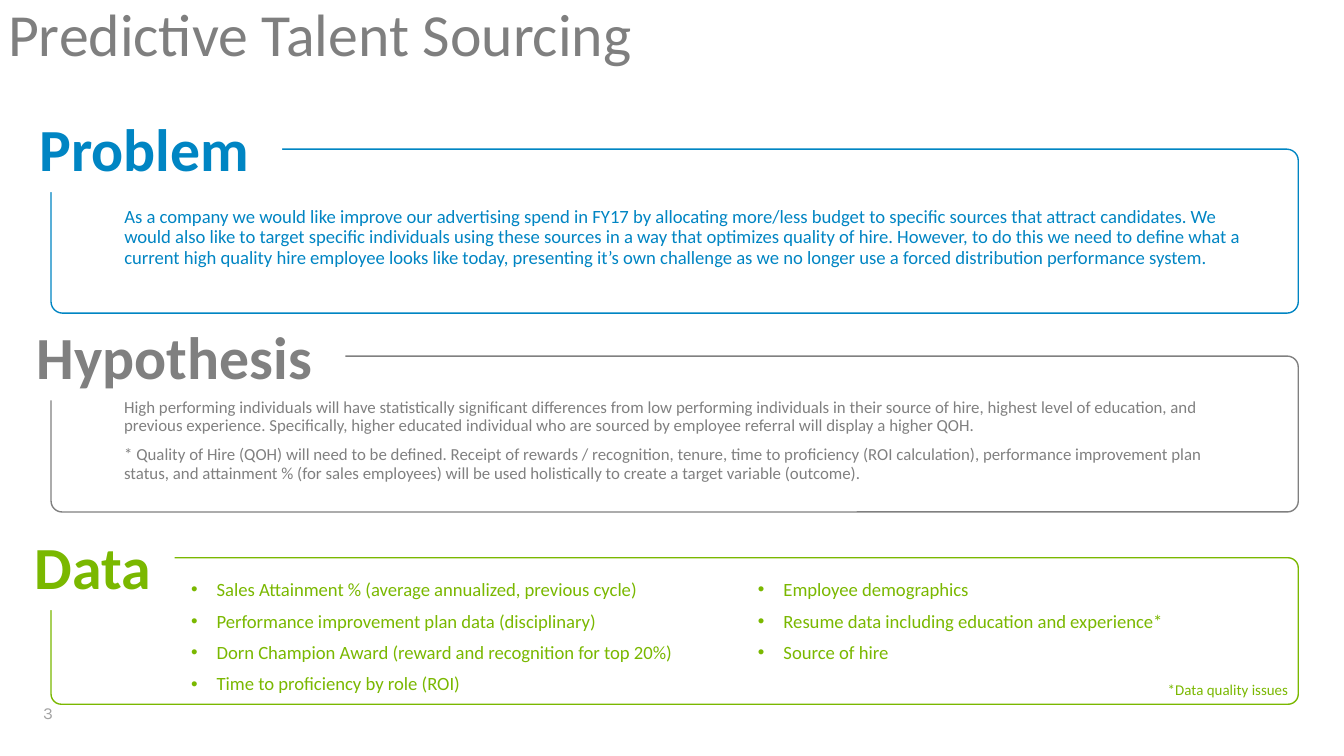
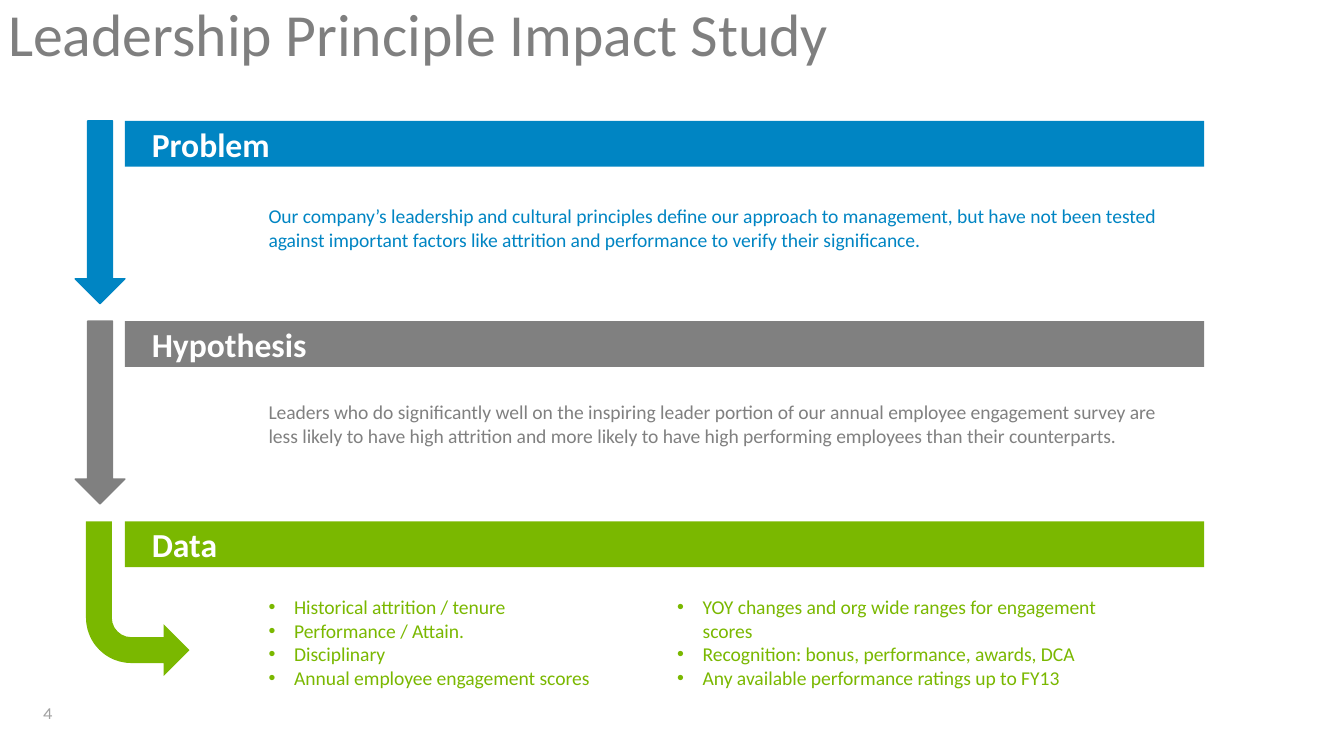
"""Build two slides that state the problem, hypothesis and data of a study."""
import dataclasses

import lxml.etree
import pptx
import pptx.dml.color
import pptx.enum.shapes
import pptx.enum.text
import pptx.oxml.ns
import pptx.util

SHAPES = pptx.enum.shapes.MSO_SHAPE
ALIGN = pptx.enum.text.PP_ALIGN
ANCHOR = pptx.enum.text.MSO_ANCHOR
AUTO_SIZE = pptx.enum.text.MSO_AUTO_SIZE


@dataclasses.dataclass(frozen=True)
class Theme:
    font: str = "Calibri"
    number_font: str = "Karla"
    blue: str = "0085C3"
    gray: str = "808080"
    green: str = "7AB800"
    title: str = "7F7F7F"
    number: str = "A2A2A2"
    white: str = "FFFFFF"
    title_size: float = 32
    band_size: float = 18
    text_size: float = 10.5
    frame_size: float = 10
    small_size: float = 9
    note_size: float = 8
    line_width: float = 0.75


theme = Theme()
presentation = pptx.Presentation()
presentation.slide_width = pptx.util.Inches(10)
presentation.slide_height = presentation.slide_width * 9 // 16
cell = presentation.slide_width / 100


def add_shape(slide, kind, area, fill=None, line=None):
    """Place a preset shape, or a text box if kind is None, on the 100-column grid."""
    lengths = [round(value * cell) for value in area]
    if kind is None:
        return slide.shapes.add_textbox(*lengths)
    shape = slide.shapes.add_shape(kind, *lengths)
    shape.shadow.inherit = False
    if fill:
        shape.fill.solid()
        shape.fill.fore_color.rgb = pptx.dml.color.RGBColor.from_string(fill)
    else:
        shape.fill.background()
    if line:
        shape.line.color.rgb = pptx.dml.color.RGBColor.from_string(line)
        shape.line.width = pptx.util.Pt(theme.line_width)
    else:
        shape.line.fill.background()
    return shape


def write(shape, texts, size, color, font=theme.font, bold=False, align=ALIGN.LEFT,
          anchor=ANCHOR.TOP, insets=(1, 0.5, 1, 0.5), spacing=1, gap=0,
          indent=0, hanging=0, grow=False, wrap=True):
    """Fill a shape with paragraphs; a hanging indent gives them bullets."""
    frame = shape.text_frame
    frame.word_wrap = wrap
    frame.vertical_anchor = anchor
    frame.auto_size = AUTO_SIZE.SHAPE_TO_FIT_TEXT if grow else AUTO_SIZE.NONE
    (frame.margin_left, frame.margin_top,
     frame.margin_right, frame.margin_bottom) = [round(inset * cell) for inset in insets]
    for index, text in enumerate(texts):
        paragraph = frame.add_paragraph() if index else frame.paragraphs[0]
        paragraph.text = text
        paragraph.alignment = align
        paragraph.line_spacing = spacing
        paragraph.space_before = pptx.util.Pt(gap if index else 0)
        properties = paragraph._p.get_or_add_pPr()
        properties.set("marL", str(round(indent * cell)))
        properties.set("indent", str(round(-hanging * cell)))
        if hanging:
            for tag, name, value in (("a:buFont", "typeface", "Arial"), ("a:buChar", "char", "•")):
                bullet = lxml.etree.SubElement(properties, pptx.oxml.ns.qn(tag))
                bullet.set(name, value)
        paragraph.font.name = font
        paragraph.font.size = pptx.util.Pt(size)
        paragraph.font.bold = bold
        paragraph.font.color.rgb = pptx.dml.color.RGBColor.from_string(color)


slides = []
for number, title, title_width in (
    ("3", "Predictive Talent Sourcing", 58.5),
    ("4", "Leadership Principle Impact Study", 63.1),
):
    slide = presentation.slides.add_slide(presentation.slide_layouts[6])
    write(add_shape(slide, None, (3.2, 52.6, 2.9, 1)), [number], theme.small_size, theme.number,
          font=theme.number_font, anchor=ANCHOR.MIDDLE, insets=(0, 0, 0, 0), spacing=0.9)
    write(add_shape(slide, None, (0.6, 0.4, title_width, 7.3)), [title], theme.title_size,
          theme.title, insets=(0, 0, 0, 0), spacing=0.9)
    slides.append(slide)
sourcing, leadership = slides

problem = [
    "As a company we would like improve our advertising spend in FY17 by allocating more/less "
    "budget to specific sources that attract candidates. We would also like to target specific "
    "individuals using these sources in a way that optimizes quality of hire. However, to do this "
    "we need to define what a current high quality hire employee looks like today, presenting "
    "it’s own challenge as we no longer use a forced distribution performance system.",
]
hypothesis = [
    "High performing individuals will have statistically significant differences from low "
    "performing individuals in their source of hire, highest level of education, and previous "
    "experience. Specifically, higher educated individual who are sourced by employee referral "
    "will display a higher QOH.",
    "* Quality of Hire (QOH) will need to be defined. Receipt of rewards / recognition, tenure, "
    "time to proficiency (ROI calculation), performance improvement plan status, and attainment % "
    "(for sales employees) will be used holistically to create a target variable (outcome).",
]
data = [
    "Sales Attainment % (average annualized, previous cycle)",
    "Performance improvement plan data (disciplinary)",
    "Dorn Champion Award (reward and recognition for top 20%)",
    "Time to proficiency by role (ROI)",
    "Employee demographics",
    "Resume data including education and experience*",
    "Source of hire",
]
sections = (
    ("Problem", theme.blue, problem, theme.frame_size, (11.1, 12.2), (0.5, 8.4, 20.5), 1.2, 0, 1),
    ("Hypothesis", theme.gray, hypothesis, theme.small_size, (26.5, 11.6), (0.3, 23.9, 25.4), 1.2, 0, 1),
    ("Data", theme.green, data, theme.frame_size, (41.5, 10.9), (0.8, 39.5, 12.2), 8.1, 1.9, 2),
)
for heading, color, texts, size, (top, height), heading_area, indent, hanging, columns in sections:
    frame = add_shape(sourcing, SHAPES.ROUNDED_RECTANGLE, (3.8, top, 92.8, height), line=color)
    frame.adjustments[0] = 0.07
    write(frame, texts, size, color, anchor=ANCHOR.MIDDLE, insets=(4, 1, 4, 0),
          spacing=0.9, gap=6, indent=indent, hanging=hanging)
    frame.text_frame._txBody.bodyPr.set("numCol", str(columns))
    label = add_shape(sourcing, SHAPES.RECTANGLE, (*heading_area, 5.9), fill=theme.white)
    write(label, [heading], theme.title_size, color, bold=True, align=ALIGN.CENTER,
          spacing=0.9, grow=True)
write(add_shape(sourcing, None, (85.9, 50.3, 11.1, 2.2)), ["*Data quality issues"],
      theme.note_size, theme.green, spacing=0.9, grow=True, wrap=False)

band_top, band_pitch = 9, 14.9
bands = (("Problem", theme.blue), ("Hypothesis", theme.gray), ("Data", theme.green))
for index, (heading, color) in enumerate(bands):
    top = band_top + index * band_pitch
    band = add_shape(leadership, SHAPES.RECTANGLE, (9.3, top, 80.3, 3.4), fill=color)
    write(band, [heading], theme.band_size, theme.white, bold=True,
          anchor=ANCHOR.MIDDLE, insets=(2, 1.5, 1.5, 1.5))
    if heading == "Data":
        arrow = add_shape(leadership, SHAPES.BENT_ARROW, (6.4, top, 7.7, 11.5), fill=color)
        arrow._element.spPr.xfrm.set("flipV", "1")
    else:
        add_shape(leadership, SHAPES.DOWN_ARROW, (5.6, top, 3.7, 13.6), fill=color, line=color)

details = (
    ((19, 14.7, 70.3, 4.5), theme.blue, 0, [
        "Our company’s leadership and cultural principles define our approach to management, but "
        "have not been tested against important factors like attrition and performance to verify "
        "their significance.",
    ]),
    ((19, 29.3, 70.3, 4.5), theme.gray, 0, [
        "Leaders who do significantly well on the inspiring leader portion of our annual employee "
        "engagement survey are less likely to have high attrition and more likely to have high "
        "performing employees than their counterparts.",
    ]),
    ((19, 43.8, 32.8, 8.1), theme.green, 1.9, [
        "Historical attrition / tenure",
        "Performance / Attain.",
        "Disciplinary",
        "Annual employee engagement scores",
    ]),
    ((49.4, 43.8, 35.7, 8.1), theme.green, 1.9, [
        "YOY changes and org wide ranges for engagement scores",
        "Recognition: bonus, performance, awards, DCA",
        "Any available performance ratings up to FY13",
    ]),
)
for area, color, indent, texts in details:
    write(add_shape(leadership, None, area), texts, theme.text_size, color,
          indent=indent, hanging=indent, grow=True)

presentation.save("out.pptx")
